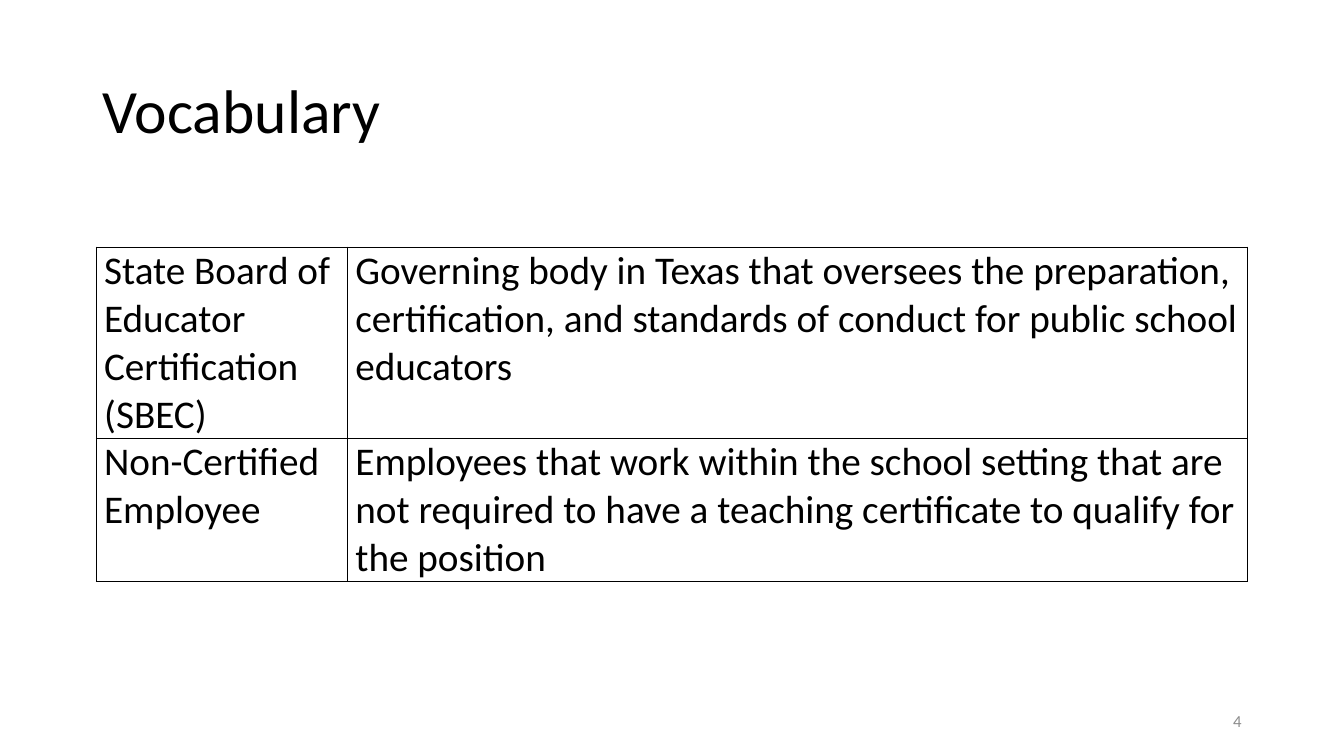
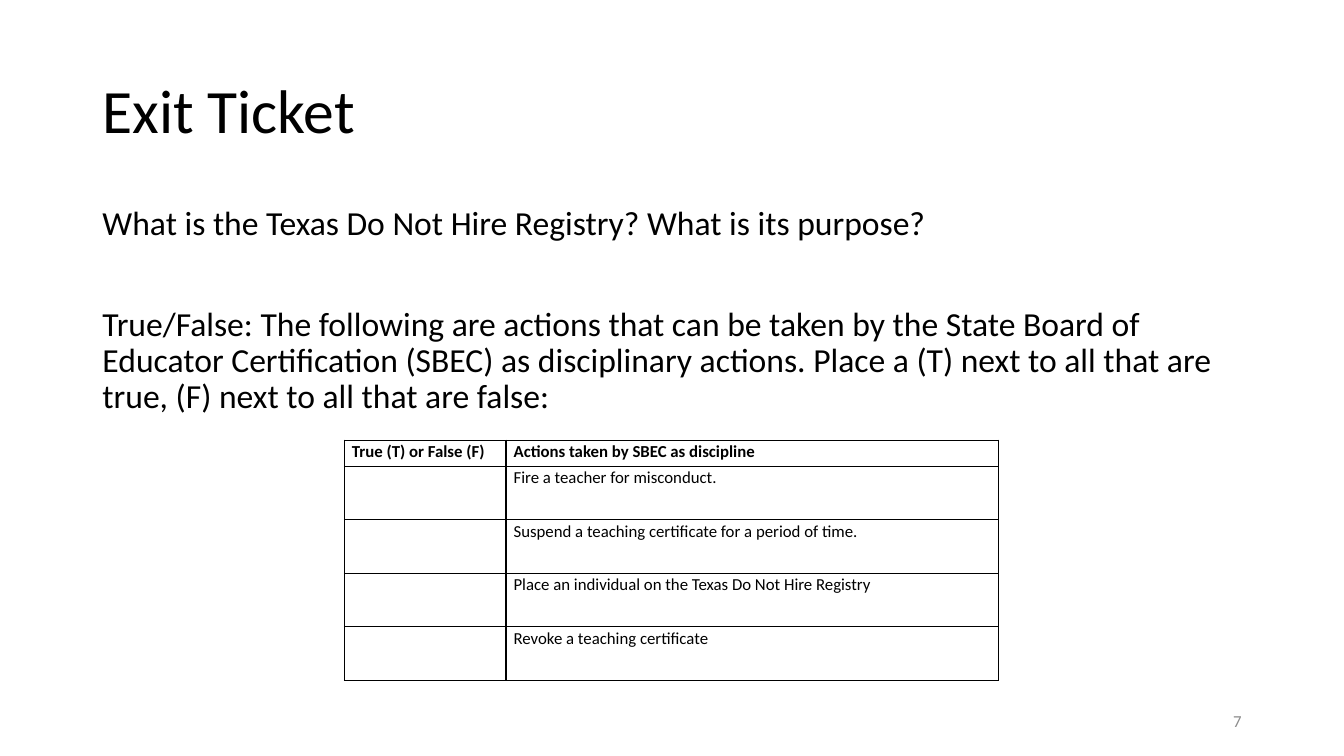
from dataclasses import dataclass

from lxml.etree import SubElement
from pptx import Presentation
from pptx.dml.color import RGBColor
from pptx.enum.text import MSO_ANCHOR, PP_ALIGN
from pptx.oxml.ns import qn
from pptx.util import Pt


@dataclass(frozen=True)
class Theme:
    font: str = "Calibri"
    ink: str = "000000"
    muted: str = "8C8C8C"
    title_size: int = 44
    vocabulary_size: int = 28
    question_size: int = 24
    small_size: int = 12
    left: int = 66
    width: int = 828


THEME = Theme()
TITLE_ONLY, TITLE_AND_BODY = 5, 1


def set_all(target, **values):
    for name, value in values.items():
        setattr(target, name, value)


def place(shape, left, top, width, height):
    set_all(shape, left=Pt(left), top=Pt(top), width=Pt(width), height=Pt(height))


def style(paragraph, size, color=THEME.ink, bold=False, **layout):
    set_all(paragraph, **layout)
    set_all(paragraph.font, name=THEME.font, size=Pt(size), bold=bold)
    paragraph.font.color.rgb = RGBColor.from_string(color)


def add_slide(prs, layout, heading, number):
    slide = prs.slides.add_slide(prs.slide_layouts[layout])
    title = slide.shapes.title
    place(title, THEME.left, 29, THEME.width, 104)
    title.text_frame.text = heading
    title.text_frame.vertical_anchor = MSO_ANCHOR.MIDDLE
    style(title.text_frame.paragraphs[0], THEME.title_size,
          alignment=PP_ALIGN.LEFT, line_spacing=0.9)

    page = slide.shapes.add_textbox(Pt(678), Pt(500.5), Pt(216), Pt(29)).text_frame
    set_all(page, text=number, word_wrap=True, vertical_anchor=MSO_ANCHOR.MIDDLE)
    style(page.paragraphs[0], THEME.small_size, THEME.muted, alignment=PP_ALIGN.RIGHT)
    return slide


def fill_body(body, questions, gap):
    place(body, THEME.left, 144, THEME.width, 343)
    frame = body.text_frame
    for index, question in enumerate(questions):
        paragraph = frame.add_paragraph() if index else frame.paragraphs[0]
        paragraph.text = question
        properties = paragraph._p.get_or_add_pPr()
        properties.set("marL", "0")
        properties.set("indent", "0")
        SubElement(properties, qn("a:buNone"))
        style(paragraph, THEME.question_size, line_spacing=0.9,
              space_before=Pt(gap if index else 0))


def draw_borders(cell):
    properties = cell._tc.get_or_add_tcPr()
    for index, side in enumerate(("lnL", "lnR", "lnT", "lnB")):
        line = SubElement(properties, qn(f"a:{side}"), w=str(Pt(1)))
        SubElement(SubElement(line, qn("a:solidFill")), qn("a:srgbClr"), val=THEME.ink)
        properties.insert(index, line)


def add_grid(slide, left, top, widths, heights, rows, size, spacing, header=False):
    table = slide.shapes.add_table(
        len(rows), len(widths), Pt(left), Pt(top), Pt(sum(widths)), Pt(sum(heights))).table
    set_all(table, first_row=False, horz_banding=False)
    for column, width in zip(table.columns, widths):
        column.width = Pt(width)
    for index, (row, height, texts) in enumerate(zip(table.rows, heights, rows)):
        row.height = Pt(height)
        for cell, text in zip(row.cells, texts):
            set_all(cell, text=text, margin_left=Pt(5.4), margin_right=Pt(5.4),
                    margin_top=0, margin_bottom=0)
            style(cell.text_frame.paragraphs[0], size,
                  bold=header and index == 0, line_spacing=spacing)
            cell.fill.background()
            draw_borders(cell)


def add_vocabulary(prs):
    slide = add_slide(prs, TITLE_ONLY, "Vocabulary", "4")
    terms = [
        ("State Board of Educator Certification (SBEC)",
         "Governing body in Texas that oversees the preparation, certification, "
         "and standards of conduct for public school educators"),
        ("Non-Certified Employee",
         "Employees that work within the school setting that are not required "
         "to have a teaching certificate to qualify for the position"),
    ]
    add_grid(slide, 69, 176.5, (179.5, 642.5), (136.5, 102.5), terms,
             THEME.vocabulary_size, 1.0)


def add_exit_ticket(prs):
    slide = add_slide(prs, TITLE_AND_BODY, "Exit Ticket", "7")
    fill_body(slide.placeholders[1], [
        "What is the Texas Do Not Hire Registry? What is its purpose?",
        "True/False: The following are actions that can be taken by the State Board "
        "of Educator Certification (SBEC) as disciplinary actions. Place a (T) next "
        "to all that are true, (F) next to all that are false:",
    ], gap=46)
    actions = [
        "Fire a teacher for misconduct.",
        "Suspend a teaching certificate for a period of time.",
        "Place an individual on the Texas Do Not Hire Registry",
        "Revoke a teaching certificate",
    ]
    rows = [("True (T) or False (F)", "Actions taken by SBEC as discipline")]
    rows += [("", action) for action in actions]
    add_grid(slide, 246, 314.5, (115.5, 352), [18.6] + [38.2] * len(actions), rows,
             THEME.small_size, 1.07, header=True)


def main():
    prs = Presentation()
    set_all(prs, slide_width=Pt(960), slide_height=Pt(540))
    add_vocabulary(prs)
    add_exit_ticket(prs)
    prs.save("out.pptx")


if __name__ == "__main__":
    main()
